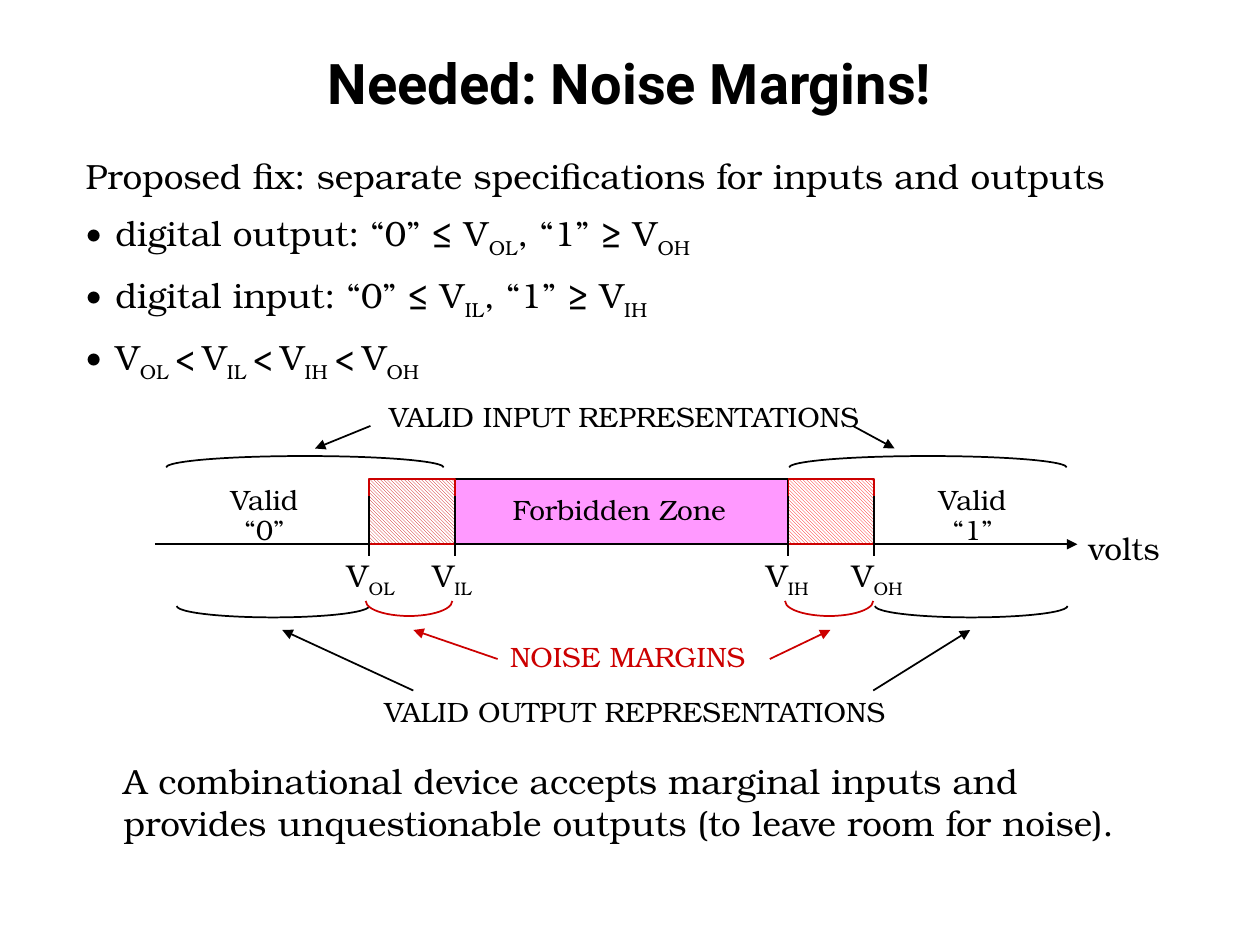
from dataclasses import dataclass

from lxml import etree
from pptx import Presentation
from pptx import util as u
from pptx.dml.color import RGBColor
from pptx.enum import dml, shapes, text
from pptx.oxml import ns


@dataclass(frozen=True)
class Theme:
    ink: RGBColor = RGBColor(0, 0, 0)
    noise: RGBColor = RGBColor(0xCC, 0, 0)
    hatch: RGBColor = RGBColor(0xFF, 0, 0)
    paper: RGBColor = RGBColor(0xFF, 0xFF, 0xFF)
    forbidden: RGBColor = RGBColor(0xFF, 0x99, 0xFF)
    heading_font: str = "Roboto"
    body_font: str = "TeX Gyre Bonum"
    title: int = 32
    body: int = 20
    axis: int = 18
    label: int = 16
    line: int = 1


THEME = Theme()
CENTER = text.PP_ALIGN.CENTER
AXIS_Y = 311
ZONE_TOP = 273.6
THRESHOLDS = {"OL": 211, "IL": 260, "IH": 450.5, "OH": 499.5}
LABEL_WIDTHS = {"OL": 46, "IL": 41, "IH": 43, "OH": 49}


def frame(left, top, width, height):
    return u.Pt(left), u.Pt(top), u.Pt(width), u.Pt(height)


def style_run(run, size, color, font=THEME.body_font):
    run.font.name = font
    run.font.size = u.Pt(size)
    run.font.color.rgb = color


def write_with_subscripts(paragraph, content, size, color):
    for index, part in enumerate(content.split("|")):
        if not part:
            continue
        run = paragraph.add_run()
        run.text = part
        style_run(run, size, color)
        if index % 2:
            run.font._element.set("baseline", "-25000")


def add_text(slide, box, content, size, color=THEME.ink, align=None,
             spacing=0.9, wrap=False):
    words = slide.shapes.add_textbox(*frame(*box)).text_frame
    words.word_wrap = wrap
    words.auto_size = text.MSO_AUTO_SIZE.SHAPE_TO_FIT_TEXT
    for index, line in enumerate(content.split("\n")):
        paragraph = words.add_paragraph() if index else words.paragraphs[0]
        write_with_subscripts(paragraph, line, size, color)
        paragraph.alignment = align
        paragraph.line_spacing = spacing
    return words


def add_bullet(paragraph, indent):
    props = paragraph._p.get_or_add_pPr()
    props.set("marL", str(u.Pt(indent)))
    props.set("indent", str(-u.Pt(indent)))
    etree.SubElement(props, ns.qn("a:buFont")).set("typeface", THEME.body_font)
    etree.SubElement(props, ns.qn("a:buChar")).set("char", "•")


def add_line(slide, start, end, color=THEME.ink, arrow=False):
    line = slide.shapes.add_connector(
        shapes.MSO_CONNECTOR.STRAIGHT, *frame(*start, *end))
    line.line.color.rgb = color
    line.line.width = u.Pt(THEME.line)
    if arrow:
        head = etree.SubElement(line.line._get_or_add_ln(), ns.qn("a:tailEnd"))
        head.set("type", "triangle")
    etree.SubElement(line._element.spPr, ns.qn("a:effectLst"))


def add_outlined(slide, kind, box, color):
    shape = slide.shapes.add_shape(kind, *frame(*box))
    shape.shadow.inherit = False
    shape.line.color.rgb = color
    shape.line.width = u.Pt(THEME.line)
    return shape


def add_brace(slide, left, right, ends_y, depth, color=THEME.ink, upward=False):
    box = (left, ends_y - depth, right - left, 2 * depth)
    brace = add_outlined(slide, shapes.MSO_SHAPE.ARC, box, color)
    brace.fill.background()
    half_turn = 108
    brace.adjustments[0] = half_turn if upward else 0
    brace.adjustments[1] = 0 if upward else half_turn


def add_zone(slide, left, right, color):
    box = (left, ZONE_TOP, right - left, AXIS_Y - ZONE_TOP)
    return add_outlined(slide, shapes.MSO_SHAPE.RECTANGLE, box, color)


def add_noise_zone(slide, left, right, hatch):
    fill = add_zone(slide, left, right, THEME.noise).fill
    fill.patterned()
    fill.pattern = dml.MSO_PATTERN.LIGHT_DOWNWARD_DIAGONAL
    fill.fore_color.rgb = hatch
    fill.back_color.rgb = THEME.paper


def draw_title(slide):
    title = slide.shapes.title
    title.left, title.top, title.width, title.height = frame(36, 21.6, 648, 50.4)
    words = title.text_frame
    words.text = "Needed: Noise Margins!"
    words.vertical_anchor = text.MSO_ANCHOR.MIDDLE
    words.paragraphs[0].alignment = CENTER
    run = words.paragraphs[0].runs[0]
    style_run(run, THEME.title, THEME.ink, THEME.heading_font)
    run.font.bold = True


def draw_specifications(slide):
    lines = [
        "Proposed fix: separate specifications for inputs and outputs",
        "digital output: “0” ≤ V|OL|, “1” ≥ V|OH|",
        "digital input: “0” ≤ V|IL|, “1” ≥ V|IH|",
        "V|OL |<| |V|IL |<| |V|IH |<| |V|OH|",
    ]
    words = add_text(slide, (41.8, 77.8, 624, 132.5), "\n".join(lines),
                     THEME.body, spacing=1.3, wrap=True)
    for paragraph in words.paragraphs[1:]:
        add_bullet(paragraph, 17)


def draw_voltage_axis(slide):
    ol, il, ih, oh = THRESHOLDS.values()
    add_line(slide, (88.5, AXIS_Y), (615.6, AXIS_Y), arrow=True)
    add_text(slide, (615, 301, 57, 27.4), "volts", THEME.axis)
    forbidden = add_zone(slide, il, ih, THEME.ink)
    forbidden.fill.solid()
    forbidden.fill.fore_color.rgb = THEME.forbidden
    add_noise_zone(slide, ol, il, THEME.noise)
    add_noise_zone(slide, ih, oh, THEME.hatch)
    add_text(slide, (284.4, 280, 139, 25.2), "Forbidden Zone", THEME.label,
             align=CENTER)
    for name, x in THRESHOLDS.items():
        add_line(slide, (x, 283.7), (x, 317.5))
        add_text(slide, (x - 20, 314.6, LABEL_WIDTHS[name], 27), f"V|{name}|",
                 THEME.axis)
    for digit, left in (("0", 124.5), ("1", 529.2)):
        add_text(slide, (left, 274.3, 53.3, 42.5), f"Valid\n“{digit}”",
                 THEME.label, align=CENTER)


def draw_representations(slide):
    for left, right in ((95, 253.5), (451, 609.5)):
        add_brace(slide, left, right, 267.1, 6.5, upward=True)
    for left, right in ((101, 211), (500, 610)):
        add_brace(slide, left, right, 346.3, 6.5)
    for left, right in ((209, 258.5), (448.6, 499)):
        add_brace(slide, left, right, 343.4, 8.6, THEME.noise)

    add_text(slide, (213, 226.8, 287.3, 25.2), "VALID INPUT REPRESENTATIONS",
             THEME.label, align=CENTER)
    add_text(slide, (284.4, 362.2, 154.8, 26.6), "NOISE MARGINS",
             THEME.label, THEME.noise, spacing=1)
    add_text(slide, (210.2, 395.3, 305.3, 25.2), "VALID OUTPUT REPRESENTATIONS",
             THEME.label, align=CENTER)

    pointers = [
        (243.4, 256.3, ((211.7, 180), (487.4, 511.2)), THEME.ink),
        (376.6, 360, ((284.4, 236.2), (439.9, 474.5)), THEME.noise),
        (394.6, 360, ((236.2, 161.3), (499, 554.4)), THEME.ink),
    ]
    for start_y, end_y, sides, color in pointers:
        for start_x, end_x in sides:
            add_line(slide, (start_x, start_y), (end_x, end_y), color, arrow=True)


def main():
    deck = Presentation()
    deck.slide_width, deck.slide_height = u.Pt(720), u.Pt(540)
    slide = deck.slides.add_slide(deck.slide_layouts[5])
    draw_title(slide)
    draw_voltage_axis(slide)
    draw_representations(slide)
    add_text(slide, (63.4, 430.6, 593.3, 55.4),
             "A combinational device accepts marginal inputs and provides "
             "unquestionable outputs (to leave room for noise).",
             THEME.body, spacing=1, wrap=True)
    draw_specifications(slide)
    deck.save("out.pptx")


if __name__ == "__main__":
    main()
